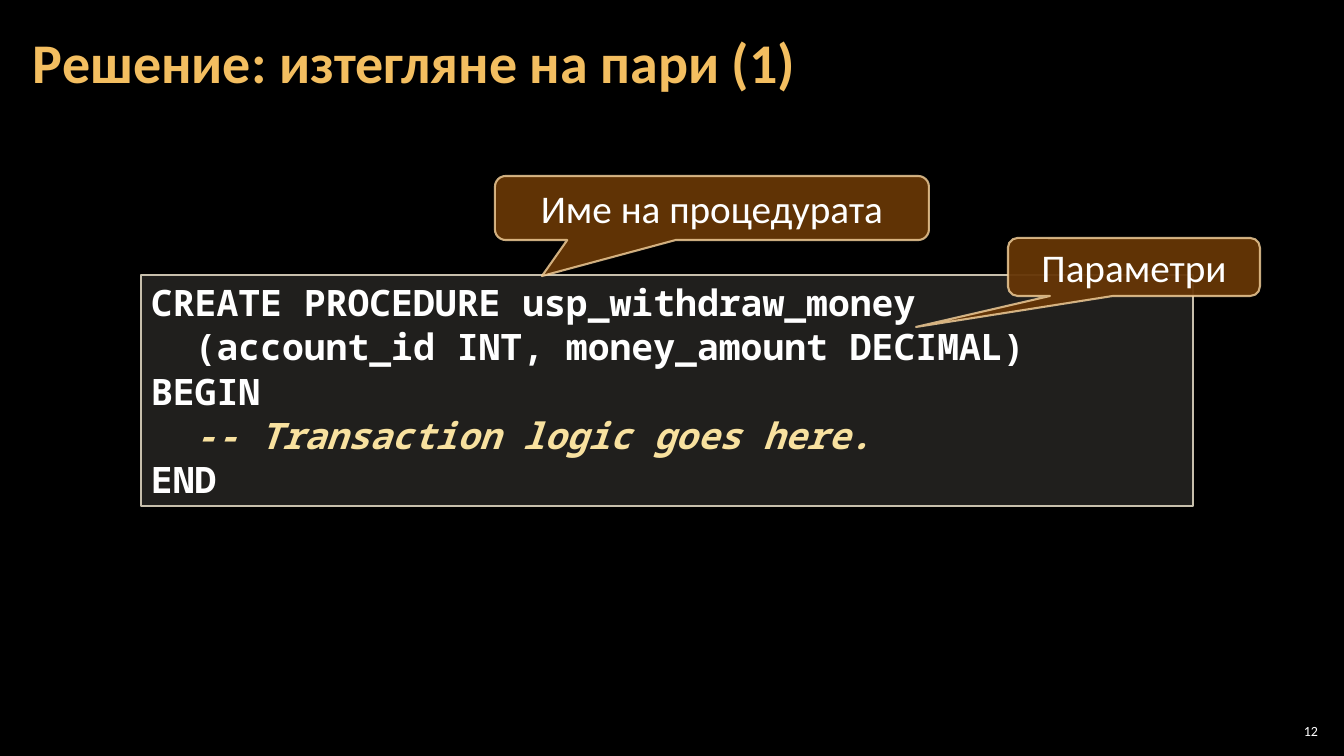
from pptx import Presentation
from pptx import util as u
from pptx.dml.color import RGBColor
from pptx.enum import shapes, text
from pptx.oxml.ns import qn
from lxml import etree

SCALE = 914400 / 100.8  # EMU in one px
WHITE, GOLD = "FFFFFF", "F3BE60"


def px(*sizes):
    return [u.Emu(round(s * SCALE)) for s in sizes]


def paint(fill, color, alpha=100):
    """Solid fill in a hex colour, with opacity in percent."""
    fill.solid()
    fill.fore_color.rgb = RGBColor.from_string(color)
    if alpha < 100:
        mark = fill._xPr.find(qn("a:solidFill"))[0]
        etree.SubElement(mark, qn("a:alpha")).set("val", str(alpha * 1000))


def write(par, words, size=28, font="Calibri", color=WHITE, bold=False,
          italic=False, align=text.PP_ALIGN.LEFT, space=None):
    """Fill one paragraph and format its runs."""
    par.text = words
    par.alignment = align
    par.line_spacing = space
    for run in par.runs:
        face = run.font
        face.size, face.name = u.Pt(size), font
        face.bold, face.italic = bold, italic
        face.color.rgb = RGBColor.from_string(color)


class Deck:
    def __init__(self):
        self.prs = Presentation()
        self.prs.slide_width, self.prs.slide_height = px(1344, 756)
        self.page = self.prs.slides.add_slide(self.prs.slide_layouts[5])
        paint(self.page.background.fill, "000000")

    def frame(self, shape, inset=(10, 5), anchor=text.MSO_ANCHOR.MIDDLE):
        body = shape.text_frame
        body.word_wrap = True
        body.auto_size = text.MSO_AUTO_SIZE.NONE
        body.vertical_anchor = anchor
        side, edge = px(*inset)
        body.margin_left = body.margin_right = side
        body.margin_top = body.margin_bottom = edge
        return body

    def title(self, words, box):
        head = self.page.shapes.title
        head.left, head.top, head.width, head.height = px(*box)
        body = self.frame(head, (12, 4))
        write(body.paragraphs[0], words, size=40, color=GOLD, bold=True,
              space=0.9)

    def shape(self, kind, box, fill, line, width):
        item = self.page.shapes.add_shape(kind, *px(*box))
        item.shadow.inherit = False
        paint(item.fill, *fill)
        paint(item.line.fill, *line)
        item.line.width = u.Pt(width)
        return item

    def code(self, rows, box):
        item = self.shape(shapes.MSO_SHAPE.RECTANGLE, box, ("D9D5C7", 15),
                          ("C7BFAC",), 1)
        body = self.frame(item, anchor=text.MSO_ANCHOR.TOP)
        for i, (words, style) in enumerate(rows):
            par = body.add_paragraph() if i else body.paragraphs[0]
            write(par, words, size=26, font="Noto Sans Mono", bold=True,
                  space=u.Pt(31.5), **style)

    def callout(self, words, box, tip):
        item = self.shape(shapes.MSO_SHAPE.ROUNDED_RECTANGULAR_CALLOUT, box,
                          ("663606", 95), ("F8D49E", 80), 1.5)
        # The tip is measured from the centre, in parts of the box
        left, top, wide, high = box
        item.adjustments[0] = (tip[0] - left) / wide - 0.5
        item.adjustments[1] = (tip[1] - top) / high - 0.5
        write(self.frame(item).paragraphs[0], words,
              align=text.PP_ALIGN.CENTER)

    def number(self, words, box):
        item = self.page.shapes.add_textbox(*px(*box))
        write(self.frame(item, (4, 4)).paragraphs[0], words, size=10,
              align=text.PP_ALIGN.RIGHT)


def main():
    deck = Deck()
    deck.title("Решение: изтегляне на пари (1)", (21, 4, 1055, 122))

    # Code listing
    note = {"color": "F8E19F", "italic": True}
    deck.code([
        ("CREATE PROCEDURE usp_withdraw_money\v"
         "  (account_id INT, money_amount DECIMAL)", {}),
        ("BEGIN", {}),
        ("  -- Transaction logic goes here.", note),
        ("END", {}),
    ], (141, 275, 1052, 231))

    deck.number("12", (1275, 720, 47, 21))

    # Callouts on the code
    deck.callout("Име на процедурата", (495, 176, 434, 64), (542, 276))
    deck.callout("Параметри", (1008, 238, 252, 58), (916, 327))

    deck.prs.save("out.pptx")


if __name__ == "__main__":
    main()
